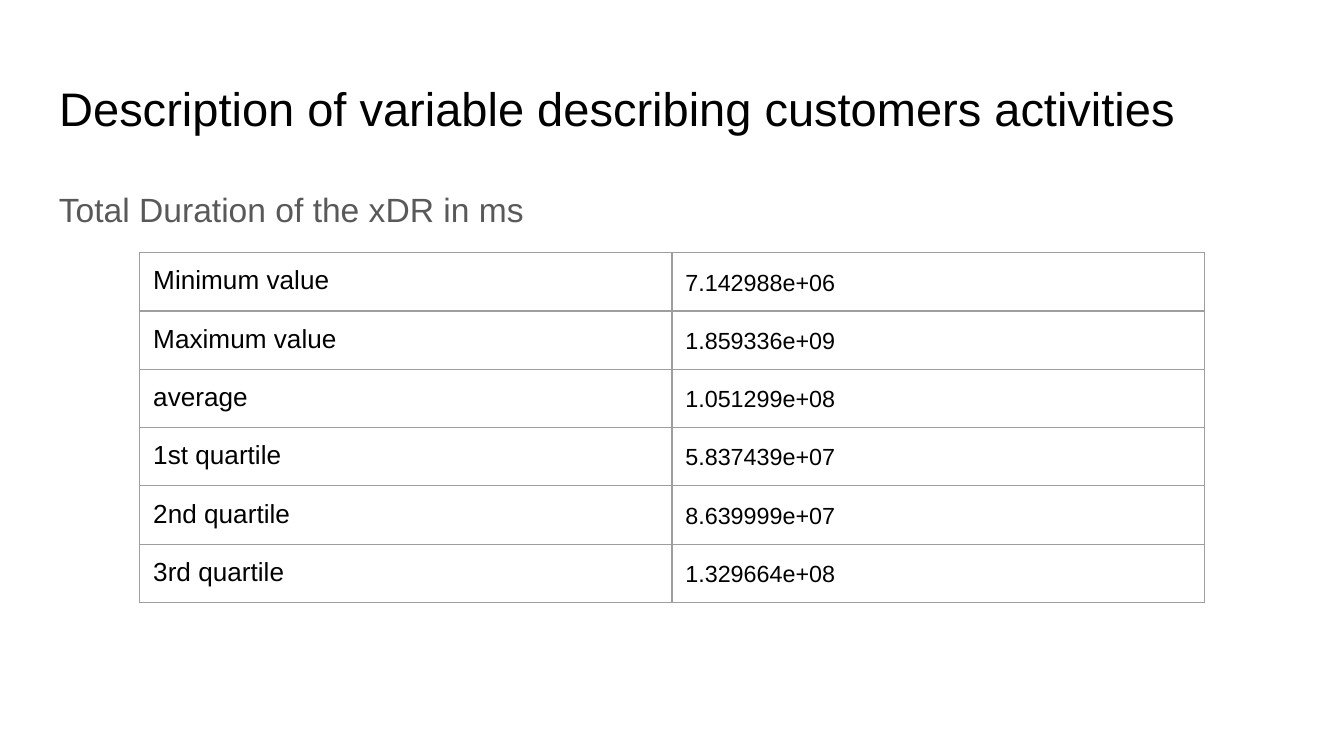
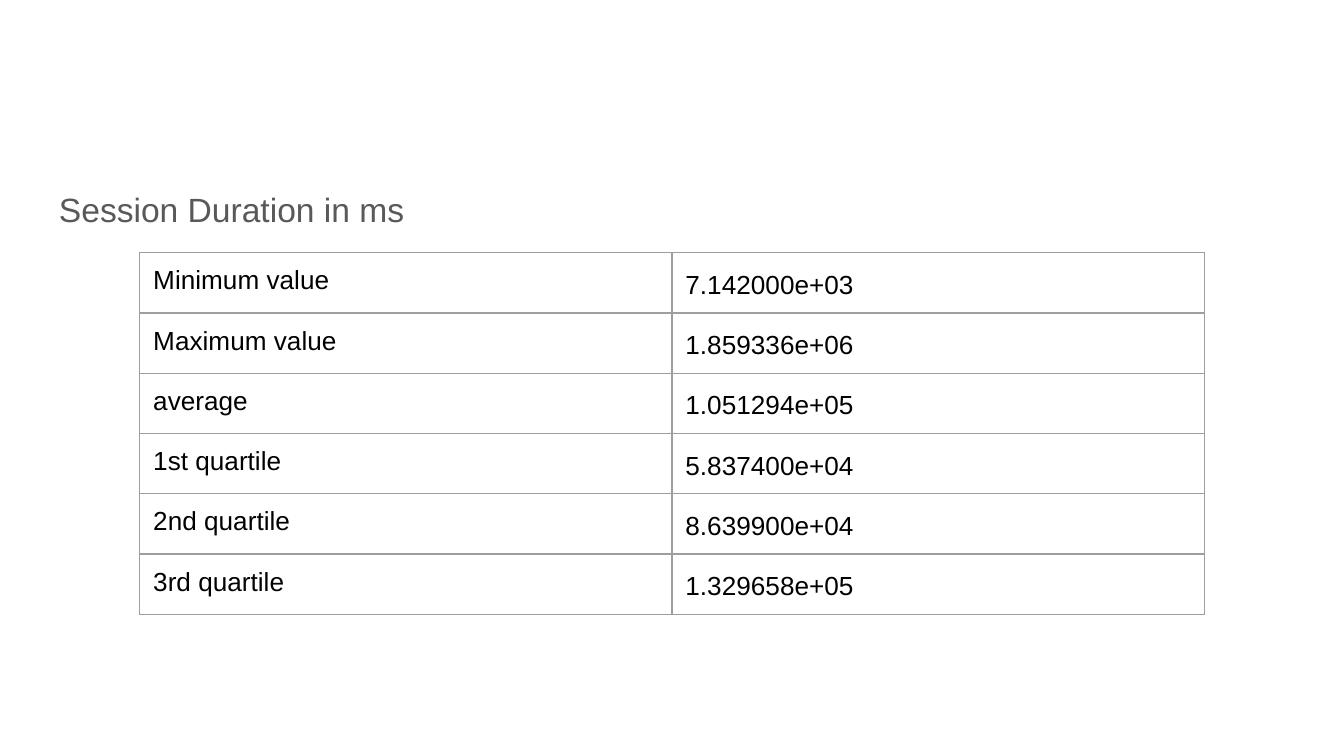
from lxml.etree import SubElement
from pptx import Presentation
from pptx.dml.color import RGBColor
from pptx.enum.text import MSO_ANCHOR, PP_ALIGN
from pptx.oxml.ns import qn
from pptx.util import Inches, Pt

# Shared look
FONT = "Arial"
BLACK, GREY, BORDER = "000000", "595959", "9E9E9E"
INSET = Inches(0.1)
TITLE_ONLY, BLANK = 5, 6

# Shared grid
MARGIN, CONTENT_WIDTH = Inches(0.34), Inches(9.32)
TABLE_LEFT, TABLE_TOP = Inches(1.04), Inches(1.88)
COLUMN_WIDTH, ROW_HEIGHT = Inches(3.96), Inches(0.42)

ROW_LABELS = ["Minimum value", "Maximum value", "average",
              "1st quartile", "2nd quartile", "3rd quartile"]

# Title, subtitle, size of the values, values
SLIDES = [
    ("Description of variable describing customers activities",
     "Total Duration of the xDR in ms", 12.5,
     ["7.142988e+06", "1.859336e+09", "1.051299e+08",
      "5.837439e+07", "8.639999e+07", "1.329664e+08"]),
    (None, "Session Duration in ms", 14,
     ["7.142000e+03", "1.859336e+06", "1.051294e+05",
      "5.837400e+04", "8.639900e+04", "1.329658e+05"]),
]


def write(frame, text, size, color, spacing=1.0):
    """Fill a text frame with one formatted paragraph."""
    frame.margin_left = frame.margin_right = INSET
    frame.margin_top = frame.margin_bottom = INSET
    frame.word_wrap = True
    frame.text = text
    paragraph = frame.paragraphs[0]
    paragraph.alignment = PP_ALIGN.LEFT
    paragraph.line_spacing = spacing
    font = paragraph.runs[0].font
    font.name, font.size = FONT, Pt(size)
    font.color.rgb = RGBColor.from_string(color)


def outline(cell):
    """Draw a thin border on all four sides of a cell."""
    properties = cell._tc.get_or_add_tcPr()
    for side in ("a:lnL", "a:lnR", "a:lnT", "a:lnB"):
        line = SubElement(properties, qn(side), w=str(Pt(0.75)))
        fill = SubElement(line, qn("a:solidFill"))
        SubElement(fill, qn("a:srgbClr"), val=BORDER)


# Widescreen, 16 to 9
presentation = Presentation()
presentation.slide_width = Inches(10)
presentation.slide_height = presentation.slide_width * 9 // 16

for title_text, subtitle, value_size, values in SLIDES:
    layout = TITLE_ONLY if title_text else BLANK
    slide = presentation.slides.add_slide(presentation.slide_layouts[layout])

    # Title
    if title_text:
        title = slide.shapes.title
        title.left, title.top = MARGIN, Inches(0.49)
        title.width, title.height = CONTENT_WIDTH, Inches(0.63)
        title.text_frame.vertical_anchor = MSO_ANCHOR.TOP
        write(title.text_frame, title_text, 25.2, BLACK)

    # Subtitle
    body = slide.shapes.add_textbox(MARGIN, Inches(1.26), CONTENT_WIDTH, Inches(3.74))
    write(body.text_frame, subtitle, 18, GREY, 1.15)

    # Table of statistics
    table = slide.shapes.add_table(
        len(ROW_LABELS), 2, TABLE_LEFT, TABLE_TOP,
        2 * COLUMN_WIDTH, len(ROW_LABELS) * ROW_HEIGHT).table
    table.first_row = table.horz_banding = False
    for row, (label, value) in enumerate(zip(ROW_LABELS, values)):
        label_cell, value_cell = table.cell(row, 0), table.cell(row, 1)
        write(label_cell.text_frame, label, 14, BLACK)
        write(value_cell.text_frame, value, value_size, BLACK, 1.15)
        for cell in (label_cell, value_cell):
            cell.margin_left = cell.margin_right = INSET
            cell.margin_top = cell.margin_bottom = INSET
            outline(cell)
            cell.fill.background()
        # The wider line spacing already adds room below the value
        value_cell.margin_bottom = Inches(0.08)

presentation.save("out.pptx")
